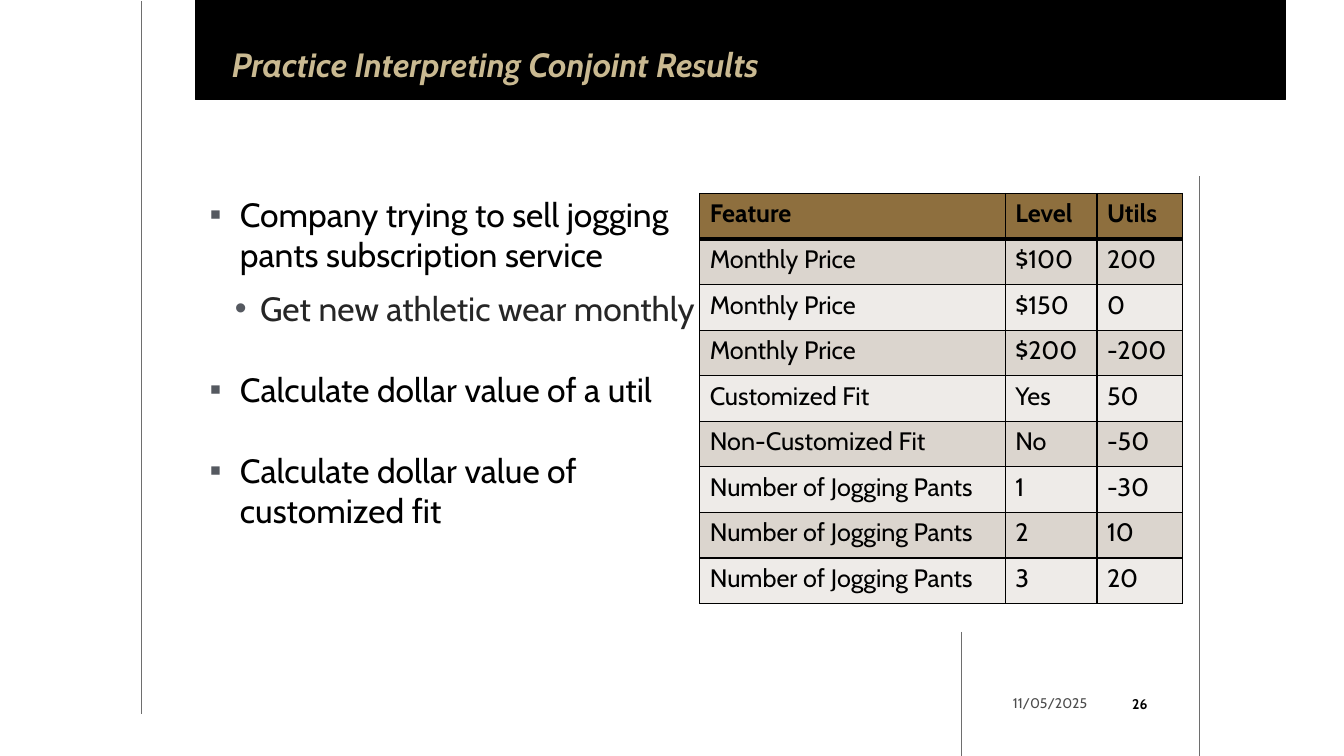
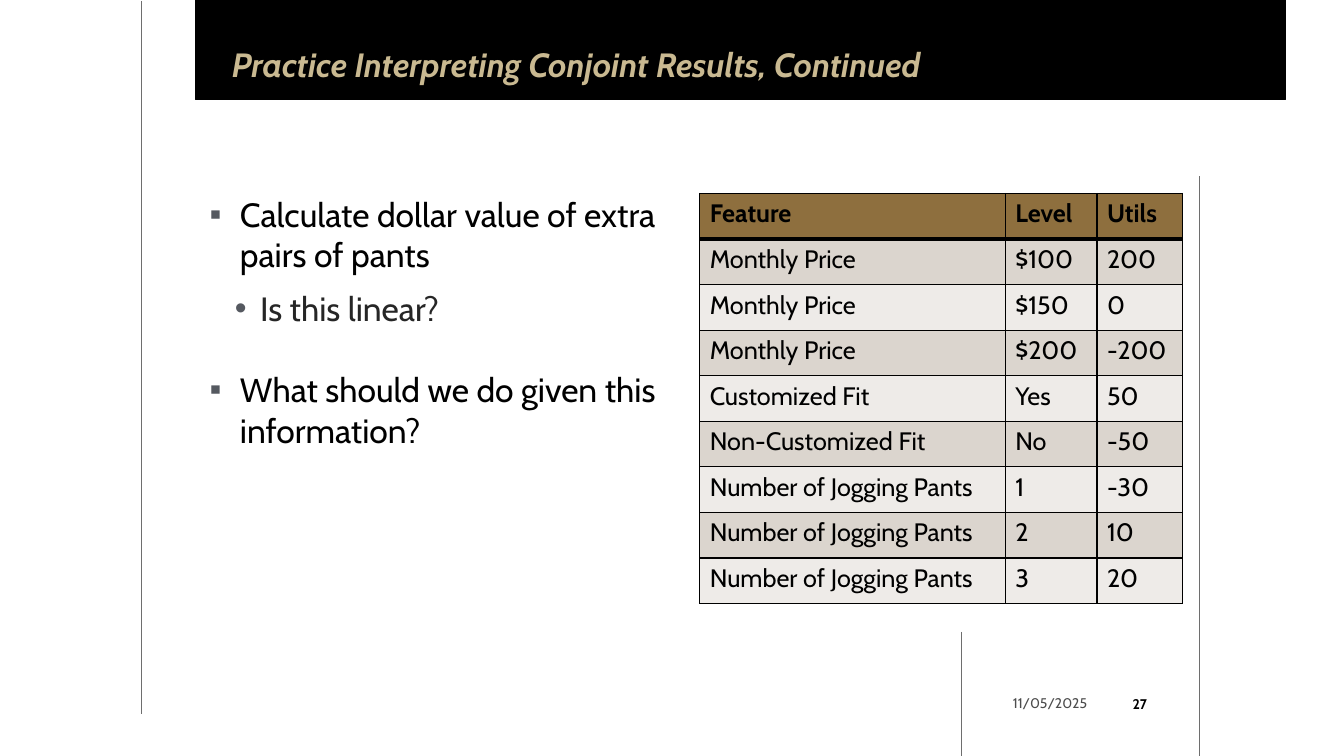
from lxml import etree
from pptx import Presentation
from pptx.dml.color import RGBColor
from pptx.enum import shapes, text
from pptx.oxml import ns
from pptx.util import Inches, Pt

FONT = "Cabin"
BLACK = RGBColor(0x00, 0x00, 0x00)
TITLE_GOLD = RGBColor(0xC9, 0xB9, 0x91)
HEADER_GOLD = RGBColor(0x8E, 0x6F, 0x3E)
ROW_DARK = RGBColor(0xDB, 0xD5, 0xCE)
ROW_LIGHT = RGBColor(0xEE, 0xEB, 0xE8)
RULE_GRAY = RGBColor(0x6E, 0x6E, 0x6E)
BULLET_GRAY = RGBColor(0x55, 0x59, 0x60)
SUB_TEXT = RGBColor(0x26, 0x26, 0x26)
DATE_GRAY = RGBColor(0x4D, 0x4D, 0x4D)

DATE = "11/05/2025"
RULES = [(1.4, 0.01, 7.08), (9.54, 6.27, 7.5), (11.9, 1.75, 7.5)]  # x, top, bottom
# Per level: bullet, left margin, hanging indent, colour
LEVELS = [("▪", 0.3, 0.3, BLACK), ("•", 0.5, 0.25, SUB_TEXT)]

UTILS = [
    ("Feature", "Level", "Utils"),
    ("Monthly Price", "$100", "200"),
    ("Monthly Price", "$150", "0"),
    ("Monthly Price", "$200", "-200"),
    ("Customized Fit", "Yes", "50"),
    ("Non-Customized Fit", "No", "-50"),
    ("Number of Jogging Pants", "1", "-30"),
    ("Number of Jogging Pants", "2", "10"),
    ("Number of Jogging Pants", "3", "20"),
]
COLUMN_WIDTHS = [3.03, 0.91, 0.85]

# Title, page number, bullets as (level, space before in points, text)
SLIDES = [
    ("Practice Interpreting Conjoint Results", 26, [
        (0, 0, "Company trying to sell jogging pants subscription service"),
        (1, 10, "Get new athletic wear monthly"),
        (0, 29, "Calculate dollar value of a util"),
        (0, 29, "Calculate dollar value of customized fit"),
    ]),
    ("Practice Interpreting Conjoint Results, Continued", 27, [
        (0, 0, "Calculate dollar value of extra pairs of pants"),
        (1, 10, "Is this linear?"),
        (0, 29, "What should we do given this information?"),
    ]),
]


def box(left, top, width, height):
    return [Inches(length) for length in (left, top, width, height)]


class Deck:
    def __init__(self):
        self.prs = Presentation()
        self.prs.slide_width = Inches(13.33)
        self.prs.slide_height = Inches(7.5)
        self.slide = None

    def new_slide(self):
        self.slide = self.prs.slides.add_slide(self.prs.slide_layouts[6])
        self.band()
        for x, top, bottom in RULES:
            self.rule(x, top, bottom)

    def style(self, paragraph, size, color, bold=False, italic=False):
        for run in paragraph.runs:
            font = run.font
            font.name, font.size = FONT, Pt(size)
            font.bold, font.italic = bold, italic
            font.color.rgb = color

    def frame(self, shape, insets=(0, 0), anchor=text.MSO_ANCHOR.TOP):
        frame = shape.text_frame
        frame.word_wrap = True
        frame.vertical_anchor = anchor
        frame.margin_left = frame.margin_right = Inches(insets[0])
        frame.margin_top = frame.margin_bottom = Inches(insets[1])
        return frame

    def band(self):
        band = self.slide.shapes.add_shape(
            shapes.MSO_SHAPE.RECTANGLE, *box(1.94, 0, 10.81, 0.99))
        band.shadow.inherit = False
        band.fill.solid()
        band.fill.fore_color.rgb = BLACK
        band.line.color.rgb = BLACK
        band.line.width = Pt(1)

    def rule(self, x, top, bottom):
        rule = self.slide.shapes.add_connector(
            shapes.MSO_CONNECTOR.STRAIGHT, *box(x, top, x, bottom))
        rule.line.color.rgb = RULE_GRAY
        rule.line.width = Pt(0.75)
        etree.SubElement(rule._element.spPr, ns.qn("a:effectLst"))

    def title(self, wording):
        frame = self.frame(self.slide.shapes.add_textbox(*box(2.3, 0.48, 8.74, 0.36)))
        frame.text = wording
        frame.paragraphs[0].line_spacing = 0.9
        self.style(frame.paragraphs[0], 24, TITLE_GOLD, bold=True, italic=True)

    def bullet(self, paragraph, level):
        mark, margin, hanging, _ = LEVELS[level]
        props = paragraph._p.get_or_add_pPr()
        props.set("marL", str(Inches(margin)))
        props.set("indent", str(-Inches(hanging)))
        color = etree.SubElement(props, ns.qn("a:buClr"))
        etree.SubElement(color, ns.qn("a:srgbClr"), val=str(BULLET_GRAY))
        etree.SubElement(props, ns.qn("a:buFont"), typeface="Arial")
        etree.SubElement(props, ns.qn("a:buChar"), char=mark)

    def bullets(self, items):
        frame = self.frame(self.slide.shapes.add_textbox(*box(2.08, 1.92, 4.86, 3.63)))
        for i, (level, before, wording) in enumerate(items):
            paragraph = frame.add_paragraph() if i else frame.paragraphs[0]
            paragraph.text = wording
            paragraph.level = level
            self.bullet(paragraph, level)
            if before:
                paragraph.space_before = Pt(before)
            self.style(paragraph, 24, LEVELS[level][3])

    def borders(self, cell, row):
        props = cell._tc.get_or_add_tcPr()
        widths = {"L": 1, "R": 1, "T": 3 if row == 1 else 1, "B": 3 if row == 0 else 1}
        for side, width in widths.items():
            line = etree.SubElement(props, ns.qn("a:ln" + side), w=str(Pt(width)))
            fill = etree.SubElement(line, ns.qn("a:solidFill"))
            etree.SubElement(fill, ns.qn("a:srgbClr"), val=str(BLACK))

    def table(self, rows):
        table = self.slide.shapes.add_table(
            len(rows), len(rows[0]), *box(6.94, 1.92, 4.79, 4.07)).table
        table.horz_banding = False
        for column, width in zip(table.columns, COLUMN_WIDTHS):
            column.width = Inches(width)
        for r, values in enumerate(rows):
            for c, value in enumerate(values):
                cell = table.cell(r, c)
                cell.text = value
                self.style(cell.text_frame.paragraphs[0], 18, BLACK, bold=r == 0)
                self.borders(cell, r)
                cell.fill.solid()
                band = ROW_DARK if r % 2 else ROW_LIGHT
                cell.fill.fore_color.rgb = band if r else HEADER_GOLD

    def footer(self, page):
        date = self.slide.shapes.add_textbox(*box(9.76, 6.8, 1.12, 0.35))
        number = self.slide.shapes.add_shape(
            shapes.MSO_SHAPE.OVAL, *box(11.04, 6.78, 0.53, 0.4))
        number.shadow.inherit = False
        number.fill.background()
        number.line.fill.background()
        for shape, wording, inset, align, color, bold in (
            (date, DATE, 0.1, text.PP_ALIGN.RIGHT, DATE_GRAY, False),
            (number, str(page), 0.02, text.PP_ALIGN.CENTER, BLACK, True),
        ):
            frame = self.frame(shape, (inset, 0.05), text.MSO_ANCHOR.MIDDLE)
            frame.text = wording
            frame.paragraphs[0].alignment = align
            self.style(frame.paragraphs[0], 10, color, bold)


def main():
    deck = Deck()
    for title, page, items in SLIDES:
        deck.new_slide()
        deck.title(title)
        deck.bullets(items)
        deck.table(UTILS)
        deck.footer(page)
    deck.prs.save("out.pptx")


if __name__ == "__main__":
    main()
